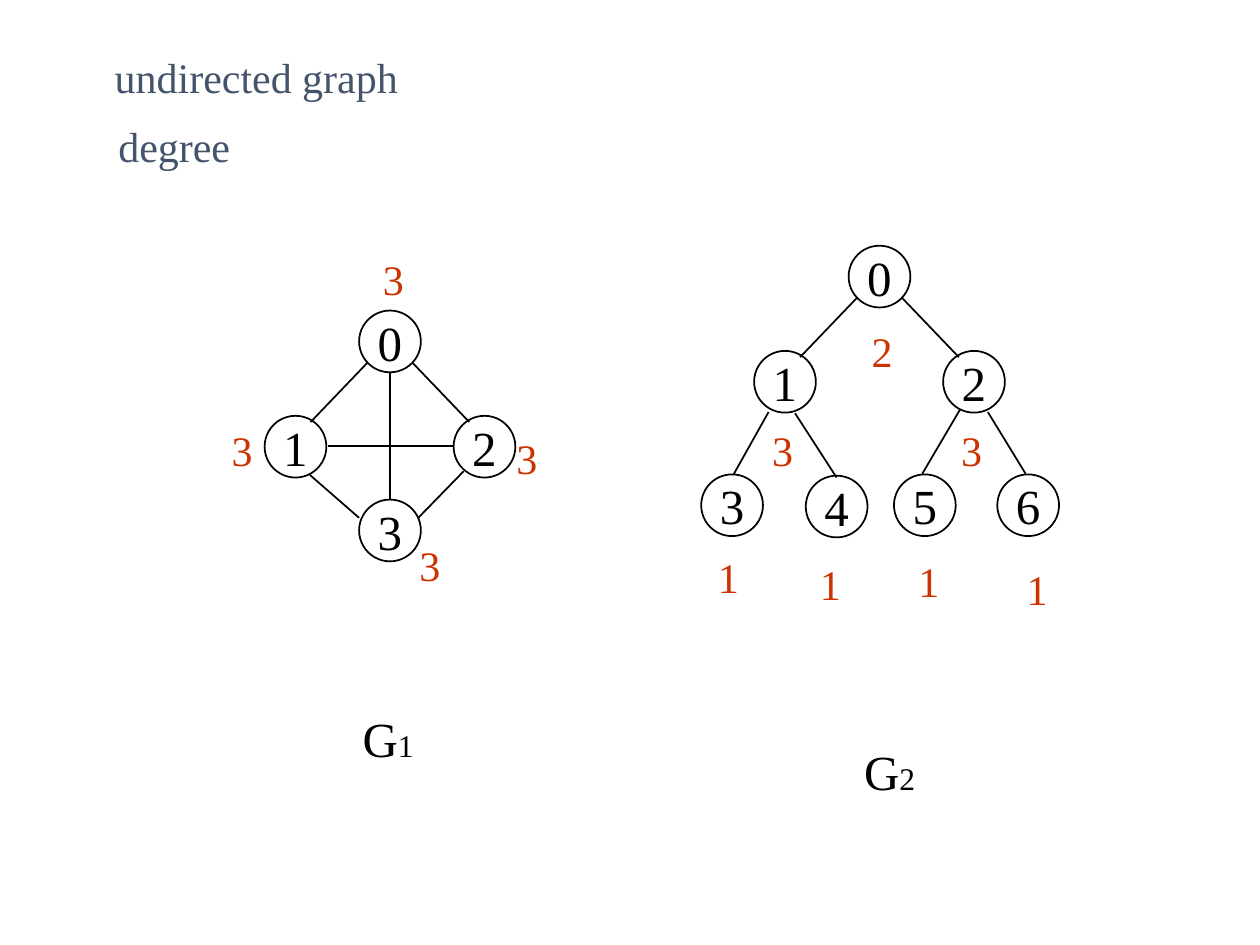
from lxml.etree import SubElement
from pptx import Presentation
from pptx.dml.color import RGBColor
from pptx.enum.shapes import MSO_CONNECTOR, MSO_SHAPE
from pptx.enum.text import MSO_ANCHOR, PP_ALIGN
from pptx.oxml.ns import qn
from pptx.util import Inches, Pt

COLORS = {"ink": "000000", "paper": "FFFFFF", "head": "44546A", "degree": "CC3300"}
COLS, ROWS = 100, 75
NODE = 4.9  # diameter in grid cells


class Board:
    """Draws on a slide split into 100 columns and 75 rows."""

    font = "Times New Roman"

    def __init__(self, deck):
        self.wide, self.high = deck.slide_width, deck.slide_height
        self.slide = deck.slides.add_slide(deck.slide_layouts[5])

    def spot(self, col, row):
        return round(self.wide * col / COLS), round(self.high * row / ROWS)

    def color(self, name):
        return RGBColor.from_string(COLORS[name])

    def label(self, shape, text, size, color, align=PP_ALIGN.CENTER):
        frame = shape.text_frame
        frame.word_wrap = False
        frame.vertical_anchor = MSO_ANCHOR.MIDDLE
        line = frame.paragraphs[0]
        line.text = text
        line.alignment = align
        line.font.name, line.font.size = self.font, Pt(size)
        line.font.color.rgb = self.color(color)
        return line

    def title(self, text, *box):
        shape = self.slide.shapes.title
        shape.left, shape.top = self.spot(*box[:2])
        shape.width, shape.height = self.spot(*box[2:])
        self.label(shape, text, 24, "head", PP_ALIGN.LEFT)

    def text(self, text, box, size, color, align=PP_ALIGN.LEFT):
        shape = self.slide.shapes.add_textbox(*self.spot(*box[:2]), *self.spot(*box[2:]))
        return self.label(shape, text, size, color, align)

    def degree(self, text, col, row):
        box = (col - 1.8, row - 2.5, 3.6, 5)
        self.text(text, box, 24, "degree", PP_ALIGN.CENTER)

    def name(self, letter, index, col, row):
        line = self.text(letter, (col, row, 6.1, 5.7), 28, "ink")
        run = line.add_run()
        run.text = index
        run.font.size = Pt(18)

    def node(self, text, col, row):
        corner = self.spot(col - NODE / 2, row - NODE / 2)
        shape = self.slide.shapes.add_shape(
            MSO_SHAPE.OVAL, *corner, *self.spot(NODE, NODE))
        shape.shadow.inherit = False
        shape.fill.solid()
        shape.fill.fore_color.rgb = self.color("paper")
        shape.line.color.rgb = self.color("ink")
        shape.line.width = Pt(1)
        self.label(shape, text, 28, "ink")

    def edge(self, *ends):
        line = self.slide.shapes.add_connector(
            MSO_CONNECTOR.STRAIGHT, *self.spot(*ends[:2]), *self.spot(*ends[2:]))
        line.line.color.rgb = self.color("ink")
        line.line.width = Pt(1)
        SubElement(line._element.spPr, qn("a:effectLst"))

    def fork(self, col, row):
        """Node 0 with nodes 1 and 2 below it on either side."""
        self.node("0", col, row)
        for text, side in (("1", -1), ("2", 1)):
            self.node(text, col + 7.5 * side, row + 8.35)
            self.edge(col + 1.8 * side, row + 1.7, col + 6.3 * side, row + 6.4)


def main():
    deck = Presentation()
    deck.slide_width, deck.slide_height = Inches(10), Inches(7.5)
    board = Board(deck)

    # Headings
    board.title("undirected graph", 8.1, 3.6, 24.5, 5)
    board.text("degree", (8.4, 9.1, 10.9, 5), 24, "head")

    # G1: complete graph on four nodes
    board.fork(30.95, 27.1)
    board.node("3", 30.95, 42.1)
    for ends in ((30.95, 29.6, 30.95, 39.6), (26, 35.4, 36, 35.4),
                 (24.6, 37.7, 28.5, 41.1), (36.8, 37.4, 33.2, 41.1)):
        board.edge(*ends)
    for spot in ((31.2, 22.1), (41.8, 36.3), (19.2, 35.7), (34.1, 44.8)):
        board.degree("3", *spot)
    board.name("G", "1", 27.8, 55.7)

    # G2: binary tree
    board.fork(69.8, 21.95)
    for text, col, row in (("3", 58.1, 40.1), ("4", 66.4, 40.2),
                           ("5", 73.4, 40.1), ("6", 81.6, 40.1)):
        board.node(text, col, row)
    for ends in ((61, 32.7, 58.2, 37.7), (63.1, 32.8, 66.4, 37.9),
                 (76.2, 32.5, 73.2, 37.6), (78.4, 32.7, 81.4, 37.6)):
        board.edge(*ends)
    for text, col, row in (("2", 70, 27.8), ("3", 62.1, 35.7), ("3", 77.1, 35.7),
                           ("1", 57.8, 45.8), ("1", 65.9, 46.3),
                           ("1", 73.7, 46.1), ("1", 82.3, 46.7)):
        board.degree(text, col, row)
    board.name("G", "2", 67.6, 58.3)

    deck.save("out.pptx")


if __name__ == "__main__":
    main()
